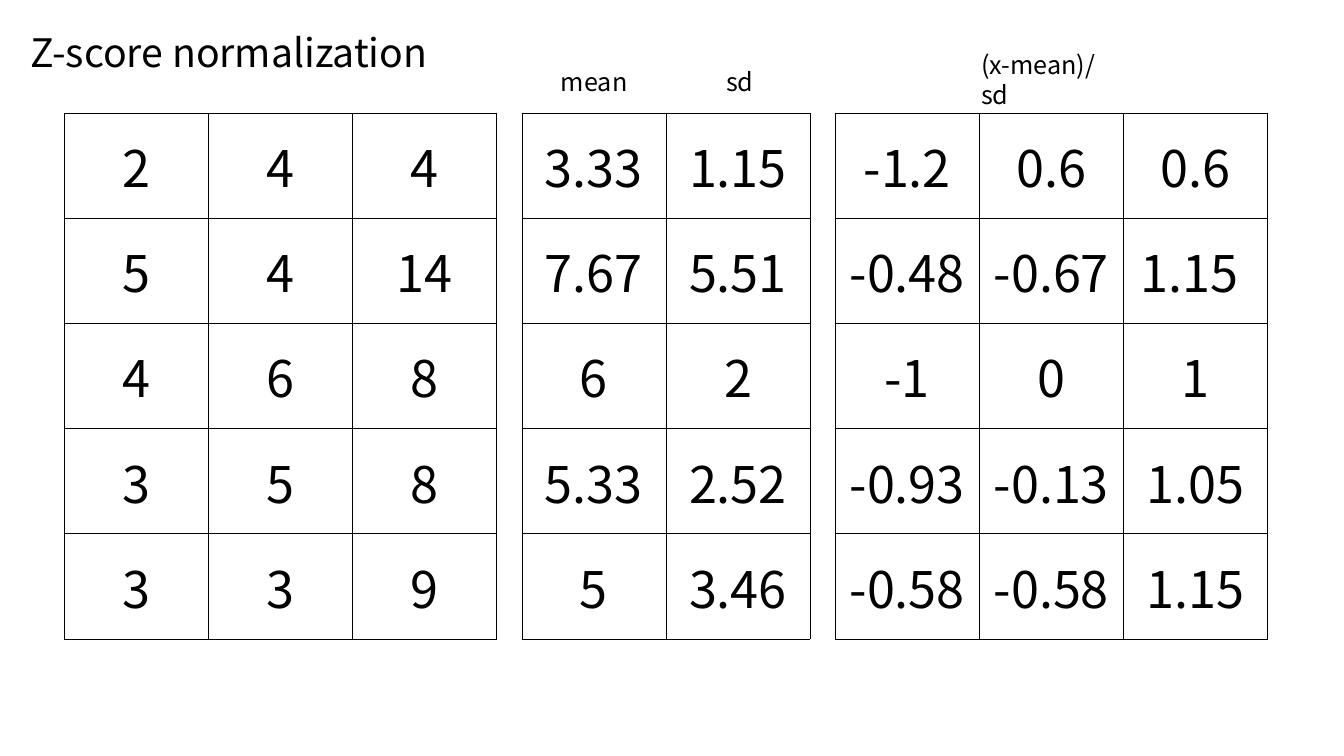
from lxml import etree
from pptx import Presentation
from pptx.dml.color import RGBColor
from pptx.enum.text import MSO_ANCHOR, PP_ALIGN
from pptx.oxml.ns import qn
from pptx.util import Inches, Pt

LEFT, CENTER = PP_ALIGN.LEFT, PP_ALIGN.CENTER
TOP, MIDDLE = MSO_ANCHOR.TOP, MSO_ANCHOR.MIDDLE
COLORS = {"ink": "000000", "paper": "FFFFFF"}
FONT = "Noto Sans CJK KR"
COL, HIGH, TABLE_TOP = 1.43, 5.22, 1.12

DATA = [
    ["2", "4", "4"],
    ["5", "4", "14"],
    ["4", "6", "8"],
    ["3", "5", "8"],
    ["3", "3", "9"],
]
STATS = [
    ["3.33", "1.15"],
    ["7.67", "5.51"],
    ["6", "2"],
    ["5.33", "2.52"],
    ["5", "3.46"],
]
SCORES = [
    ["-1.2", "0.6", "0.6"],
    ["-0.48", "-0.67", "1.15 "],
    ["-1", "0", "1"],
    ["-0.93", "-0.13", "1.05"],
    ["-0.58", "-0.58", "1.15"],
]


class Board:
    """Holds the slide and the look of its text and tables."""

    def __init__(self, deck):
        self.slide = deck.slides.add_slide(deck.slide_layouts[5])
        fill = self.slide.background.fill
        fill.solid()
        fill.fore_color.rgb = RGBColor.from_string(COLORS["paper"])

    def style(self, frame, text, size, align=LEFT):
        """Set the text of a frame and format it."""
        frame.text = text
        para = frame.paragraphs[0]
        para.alignment = align
        font = para.runs[0].font
        font.name, font.size = FONT, Pt(size)
        font.color.rgb = RGBColor.from_string(COLORS["ink"])

    def title(self, text, left, top, width, height):
        shape = self.slide.shapes.title
        shape.left, shape.top = Inches(left), Inches(top)
        shape.width, shape.height = Inches(width), Inches(height)
        frame = shape.text_frame
        frame.vertical_anchor = TOP
        frame.word_wrap = False
        self.style(frame, text, 28)

    def label(self, text, left, top, width, wrap=False):
        box = self.slide.shapes.add_textbox(
            Inches(left), Inches(top), Inches(width), Inches(0.4))
        box.text_frame.word_wrap = wrap
        self.style(box.text_frame, text, 18)

    def border(self, cell):
        props = cell._tc.get_or_add_tcPr()
        for i, side in enumerate(("a:lnL", "a:lnR", "a:lnT", "a:lnB")):
            line = etree.Element(qn(side), w=str(Pt(0.45)))
            fill = etree.SubElement(line, qn("a:solidFill"))
            etree.SubElement(fill, qn("a:srgbClr"), val=COLORS["ink"])
            props.insert(i, line)

    def table(self, rows, left):
        count = len(rows[0])
        table = self.slide.shapes.add_table(
            len(rows), count, Inches(left), Inches(TABLE_TOP),
            Inches(COL * count), Inches(HIGH)).table
        table.first_row = table.horz_banding = False
        for col in table.columns:
            col.width = Inches(COL)
        for r, row in enumerate(rows):
            table.rows[r].height = Inches(HIGH / len(rows))
            for c, value in enumerate(row):
                cell = table.cell(r, c)
                cell.fill.background()
                cell.vertical_anchor = MIDDLE
                self.style(cell.text_frame, value, 36, CENTER)
                self.border(cell)


def main():
    deck = Presentation()
    deck.slide_width, deck.slide_height = Inches(13.34), Inches(7.5)
    board = Board(deck)
    board.title("Z-score normalization", 0.2, 0.23, 4.16, 0.57)
    for rows, left in ((DATA, 0.64), (STATS, 5.18), (SCORES, 8.29)):
        board.table(rows, left)
    board.label("mean", 5.47, 0.61, 0.87)
    board.label("sd", 7.11, 0.61, 0.47)
    board.label("(x-mean)/sd", 9.64, 0.44, 1.5, wrap=True)
    deck.save("out.pptx")


if __name__ == "__main__":
    main()
